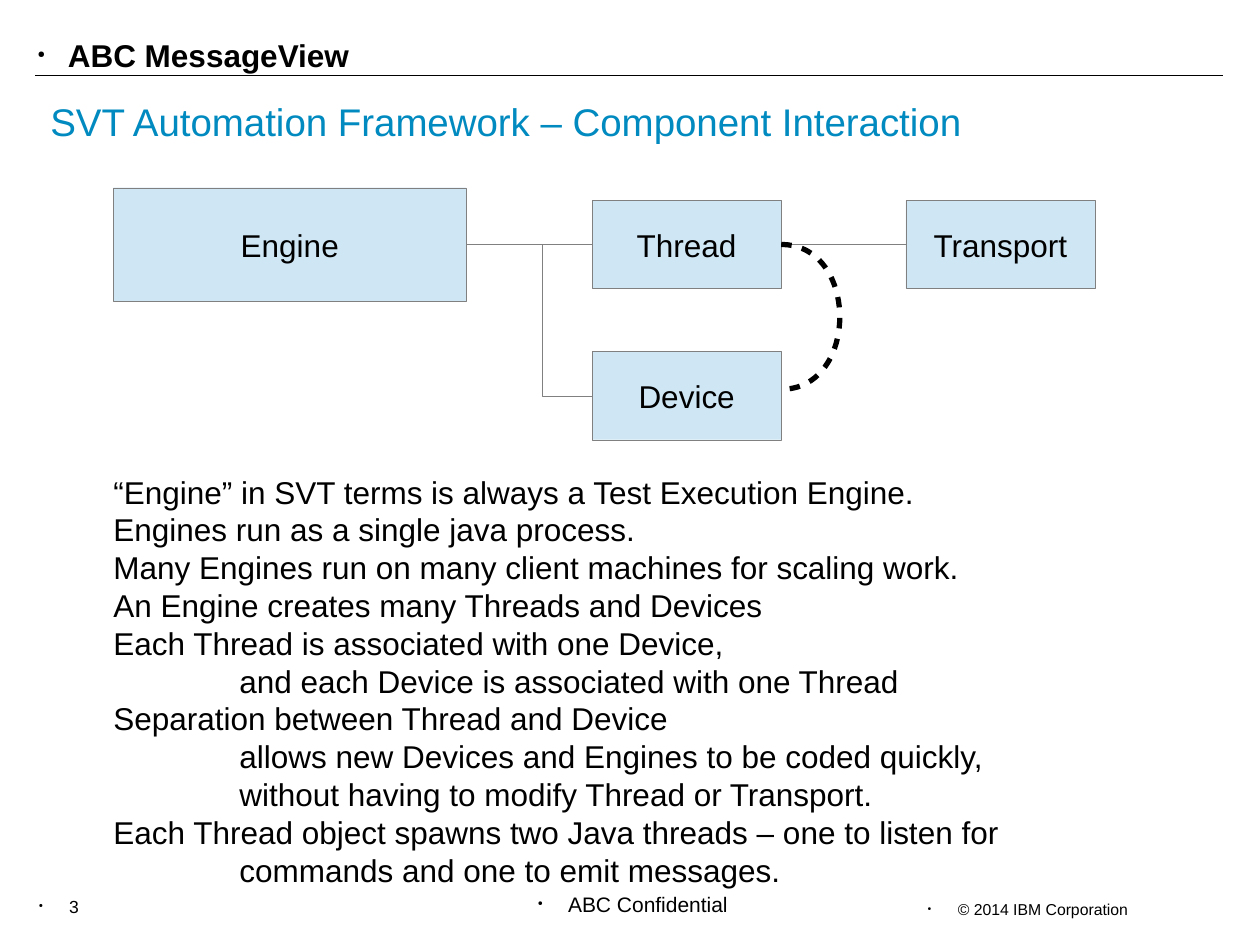
import pptx
import pptx.util
import pptx.dml.color
import pptx.enum.shapes
import pptx.enum.text
import pptx.oxml
import pptx.oxml.ns
import lxml.etree

RGBColor = pptx.dml.color.RGBColor
BLACK = RGBColor(0x00, 0x00, 0x00)
TITLE_BLUE = RGBColor(0x00, 0x8A, 0xBF)
BOX_BLUE = RGBColor(0xCF, 0xE7, 0xF5)
GREY = RGBColor(0x80, 0x80, 0x80)
FONT = "Arial"
HAIRLINE = 0.1
CELL = pptx.util.Inches(0.1)
BULLET_INDENT = pptx.util.Inches(0.24)
ALIGN = pptx.enum.text.PP_ALIGN
CONNECTOR = pptx.enum.shapes.MSO_CONNECTOR
LEFT_SITE, RIGHT_SITE = 1, 3

BODY_LINES = [
    (0, "“Engine” in SVT terms is always a Test Execution Engine."),
    (0, "Engines run as a single java process."),
    (0, "Many Engines run on many client machines for scaling work."),
    (0, "An Engine creates many Threads and Devices"),
    (0, "Each Thread is associated with one Device,"),
    (1, "and each Device is associated with one Thread"),
    (0, "Separation between Thread and Device"),
    (1, "allows new Devices and Engines to be coded quickly,"),
    (1, "without having to modify Thread or Transport."),
    (0, "Each Thread object spawns two Java threads – one to listen for"),
    (1, "commands and one to emit messages."),
]


def cells(*counts):
    return [round(count * CELL) for count in counts]


def add_child(parent, tag, **attributes):
    child = lxml.etree.SubElement(parent, pptx.oxml.ns.qn(tag))
    for name, value in attributes.items():
        child.set(name, str(value))
    return child


def set_font(paragraph, size, color=BLACK, bold=False):
    font = paragraph.font
    font.name = FONT
    font.size = pptx.util.Pt(size)
    font.bold = bold
    font.color.rgb = color


def set_indent(paragraph, left, first=0):
    properties = paragraph._p.get_or_add_pPr()
    properties.set("marL", str(left))
    properties.set("indent", str(first))
    return properties


def place(shape, box):
    shape.left, shape.top, shape.width, shape.height = cells(*box)


def add_label(slide, box, text, size, bold=False, align=ALIGN.LEFT):
    shape = slide.shapes.add_textbox(*cells(*box))
    shape.text_frame.word_wrap = True
    paragraph = shape.text_frame.paragraphs[0]
    paragraph.text = text
    paragraph.alignment = align
    properties = set_indent(paragraph, BULLET_INDENT, -BULLET_INDENT)
    add_child(properties, "a:buSzPct", val=30000)
    add_child(properties, "a:buChar", char="●")
    set_font(paragraph, size, bold=bold)


def style_line(shape, color, width):
    shape.line.color.rgb = color
    shape.line.width = pptx.util.Pt(width)


def add_line(slide, kind, ends, color, width):
    connector = slide.shapes.add_connector(kind, *cells(*ends))
    style_line(connector, color, width)
    add_child(connector._element.spPr, "a:effectLst")
    return connector


def add_header(slide, box):
    left, top, width, height = box
    add_label(slide, (left, top, 31, height), "ABC MessageView", 18, bold=True)
    rule = top + 3.6
    add_line(slide, CONNECTOR.STRAIGHT,
             (left + 0.8, rule, left + width, rule), BLACK, 0.75)


def add_footer(slide, box):
    left, top, width, height = box
    add_label(slide, (left, top + 0.3, 6, height), "3", 10)
    add_label(slide, (left + 39.6, top, 20.7, height), "ABC Confidential", 12)
    add_label(slide, (left + width - 25.6, top + 0.6, 25.6, height),
              "© 2014 IBM Corporation", 9, align=ALIGN.RIGHT)


def fill_title(shape, box):
    place(shape, box)
    frame = shape.text_frame
    frame.word_wrap = True
    frame.auto_size = pptx.enum.text.MSO_AUTO_SIZE.NONE
    frame.vertical_anchor = pptx.enum.text.MSO_ANCHOR.TOP
    paragraph = frame.paragraphs[0]
    paragraph.text = "SVT Automation Framework – Component Interaction"
    paragraph.alignment = ALIGN.LEFT
    set_font(paragraph, 22, TITLE_BLUE)


def fill_body(shape, box):
    place(shape, box)
    frame = shape.text_frame
    frame.auto_size = pptx.enum.text.MSO_AUTO_SIZE.NONE
    for index, (level, text) in enumerate(BODY_LINES):
        paragraph = frame.add_paragraph() if index else frame.paragraphs[0]
        paragraph.text = text
        paragraph.space_before = pptx.util.Pt(0)
        add_child(set_indent(paragraph, level * 10 * CELL), "a:buNone")
        set_font(paragraph, 18)


def add_component(slide, box, name):
    shape = slide.shapes.add_shape(
        pptx.enum.shapes.MSO_SHAPE.RECTANGLE, *cells(*box))
    shape.shadow.inherit = False
    shape.fill.solid()
    shape.fill.fore_color.rgb = BOX_BLUE
    style_line(shape, GREY, HAIRLINE)
    shape.text_frame.vertical_anchor = pptx.enum.text.MSO_ANCHOR.MIDDLE
    paragraph = shape.text_frame.paragraphs[0]
    paragraph.text = name
    paragraph.alignment = ALIGN.CENTER
    set_font(paragraph, 18)
    return shape


def connect(slide, start, end, kind=CONNECTOR.STRAIGHT):
    connector = add_line(slide, kind, (0, 0, 1, 1), GREY, HAIRLINE)
    connector.begin_connect(start, RIGHT_SITE)
    connector.end_connect(end, LEFT_SITE)
    return connector


def add_association(slide, left, top, height, reach, steps=40):
    points = []
    for step in range(steps + 1):
        t = step / steps
        points.append(cells(left + 3 * t * (1 - t) * reach,
                            top + t * t * (3 - 2 * t) * height))
    builder = slide.shapes.build_freeform(*points[0])
    builder.add_line_segments(points[1:], close=False)
    curve = builder.convert_to_shape()
    curve.shadow.inherit = False
    curve.fill.background()
    style_line(curve, BLACK, 3)
    dashes = add_child(curve.line._get_or_add_ln(), "a:custDash")
    add_child(dashes, "a:ds", d=200000, sp=200000)


def add_diagram(slide, box):
    left, top, width, height = box
    part_width, part_height = 15, 7
    middle = left + 38
    upper, lower = top + 1, top + height - part_height
    engine = add_component(slide, (left, top, 28, 9), "Engine")
    thread = add_component(
        slide, (middle, upper, part_width, part_height), "Thread")
    device = add_component(
        slide, (middle, lower, part_width, part_height), "Device")
    transport = add_component(
        slide, (left + width - part_width, upper, part_width, part_height),
        "Transport")
    connect(slide, engine, thread)
    connect(slide, thread, transport)
    branch = connect(slide, engine, device, CONNECTOR.ELBOW)
    geometry = branch._element.spPr.find(pptx.oxml.ns.qn("a:prstGeom"))
    guides = geometry.find(pptx.oxml.ns.qn("a:avLst"))
    if guides is None:
        guides = add_child(geometry, "a:avLst")
    add_child(guides, "a:gd", name="adj1", fmla="val 60000")
    add_association(slide, middle + part_width, upper + part_height / 2,
                    11.5, 6.2)


def main():
    presentation = pptx.Presentation()
    presentation.slide_width, presentation.slide_height = cells(100, 75)
    slide = presentation.slides.add_slide(presentation.slide_layouts[1])
    add_header(slide, (2, 2.4, 95.1, 4))
    fill_title(slide.shapes.title, (3, 7.3, 80, 4.7))
    add_diagram(slide, (9, 14.9, 77.9, 20))
    fill_body(slide.placeholders[1], (8, 37, 82, 33.5))
    add_footer(slide, (2.1, 70.3, 88.4, 3))
    presentation.save("out.pptx")


if __name__ == "__main__":
    main()
